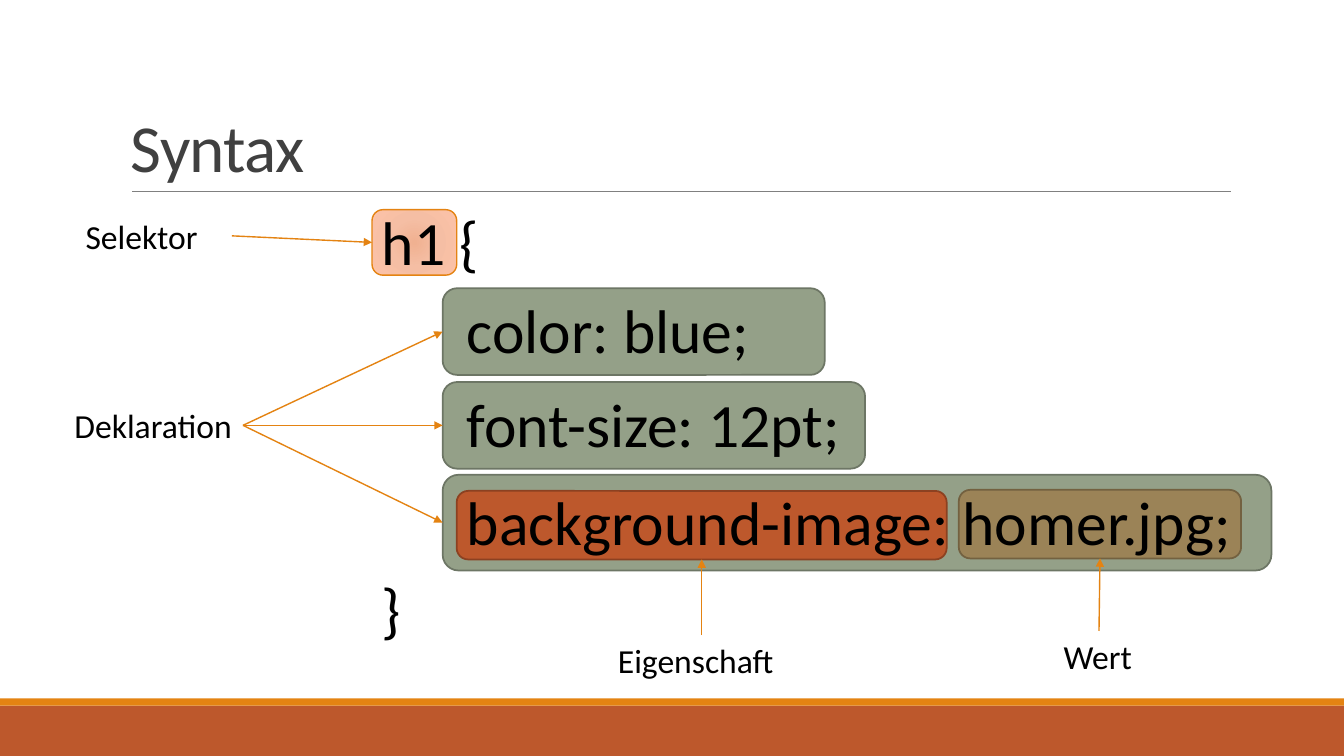
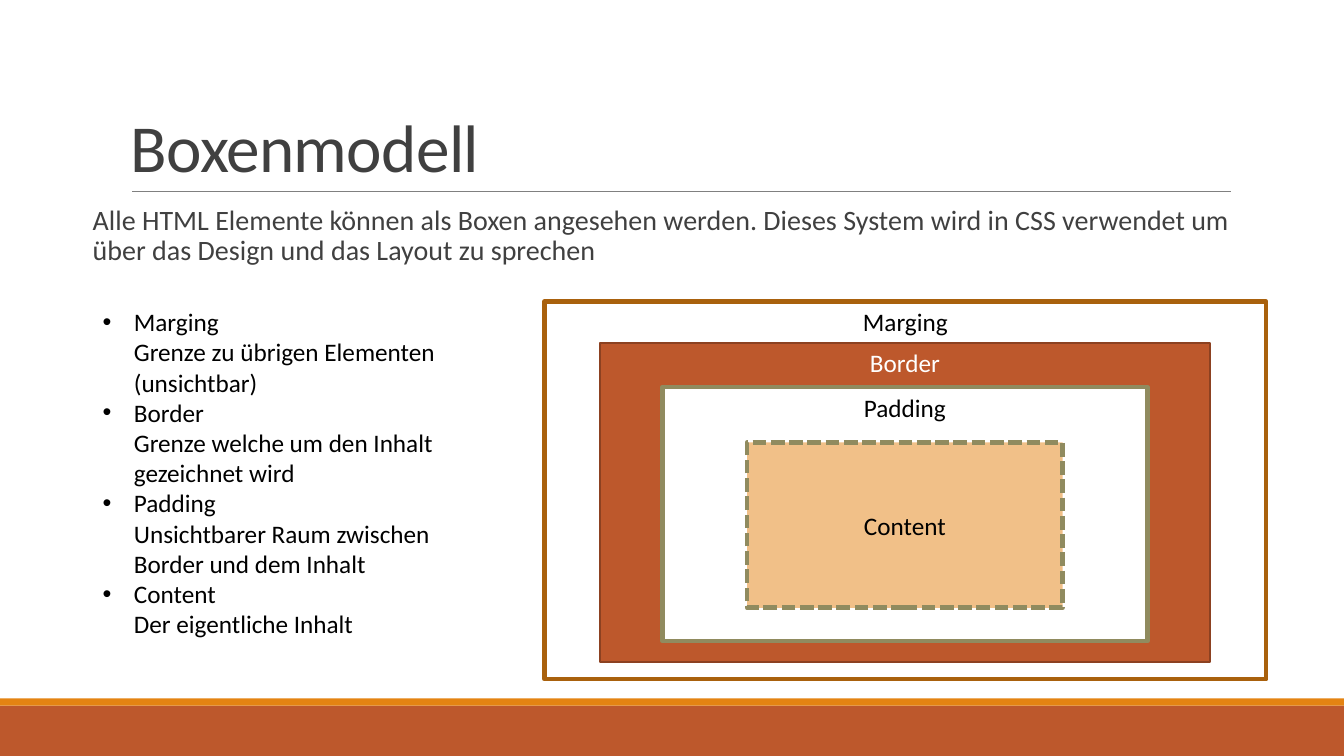
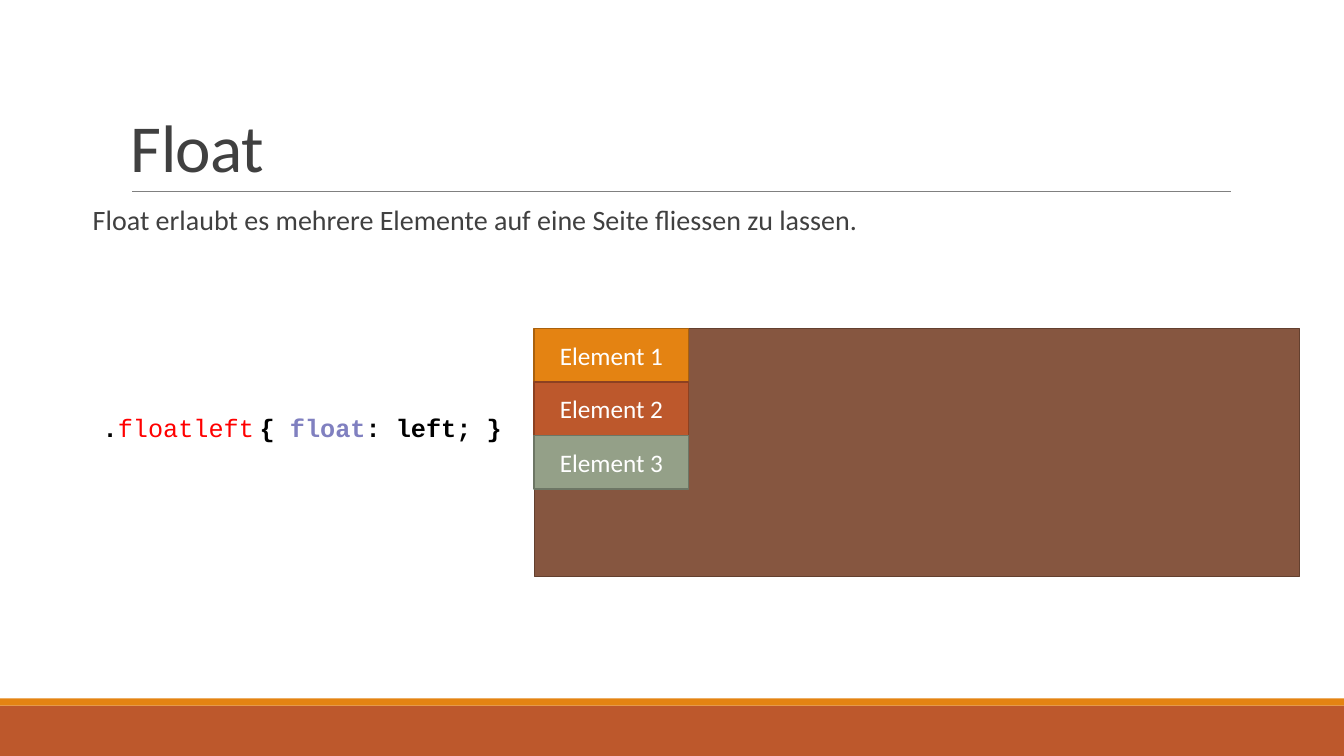
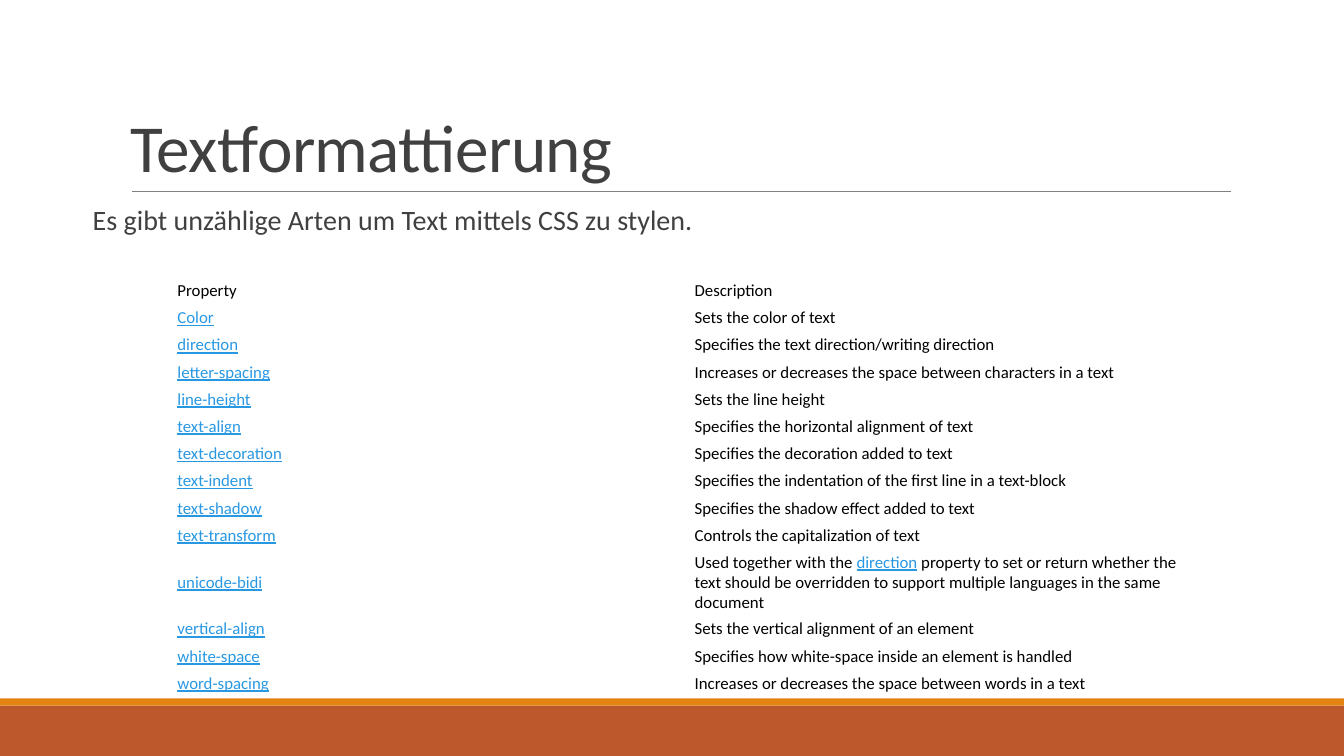
"""Build four slides on CSS: syntax, box model, float and text formatting."""
from pptx import Presentation
from pptx.dml.color import RGBColor
from pptx.enum.dml import MSO_LINE
from pptx.enum.shapes import MSO_CONNECTOR, MSO_SHAPE
from pptx.enum.text import MSO_ANCHOR, PP_ALIGN
from pptx.oxml import parse_xml
from pptx.oxml.ns import nsdecls, qn
from pptx.util import Inches, Pt
from lxml import etree

RECT, ROUND = MSO_SHAPE.RECTANGLE, MSO_SHAPE.ROUNDED_RECTANGLE
STRAIGHT, DASH = MSO_CONNECTOR.STRAIGHT, MSO_LINE.SQUARE_DOT
LEFT, CENTER = PP_ALIGN.LEFT, PP_ALIGN.CENTER
TOP, MIDDLE, BOTTOM = MSO_ANCHOR.TOP, MSO_ANCHOR.MIDDLE, MSO_ANCHOR.BOTTOM
SIDE = {"top": 0, "left": 1, "bottom": 2, "right": 3}

W, H = 13.33, 7.5
FONT, CODE_FONT = "Calibri", "Courier New"
COLORS = {
    "black": "000000", "white": "FFFFFF", "text": "404040", "rule": "808080",
    "orange": "E48312", "orange_dark": "A9610D",
    "rust": "BD582C", "rust_dark": "8C4121",
    "sage": "94A088", "sage_dark": "6D7665",
    "sand": "9B8357", "sand_dark": "736140",
    "brown": "865640", "brown_dark": "63402F",
    "olive": "908B5F", "link": "2998E3", "red": "FF0000", "violet": "8080C0",
}
PEACH = [(0, "F0B191"), (45, "F5BEA4"), (100, "FDC3A8")]

CHIPS = {
    "image": ((4.39, 4.71, 8.22, 0.95), "sage"),
    "color": ((4.39, 2.86, 3.79, 0.86), "sage"),
    "size": ((4.39, 3.79, 4.19, 0.86), "sage"),
    "property": ((4.53, 4.87, 4.86, 0.68), "rust"),
    "value": ((9.51, 4.86, 2.8, 0.68), "sand"),
}
SELECTOR = (3.69, 2.08, 0.84, 0.65)
BRACES = (3.69, 1.97, 1.32, 4.54)
BRACE_GAP = 210
CODE_LINES = [
    ("color: blue;", (4.53, 2.85, 3.5, 0.84)),
    ("font-size: 12pt;", (4.53, 3.78, 3.95, 0.84)),
    ("background-image: homer.jpg;", (4.53, 4.75, 7.89, 0.84)),
]
LABELS = [
    ("Selektor", (0.75, 2.09, 1.55, 0.5), "right", ["selector"], "left"),
    ("Deklaration", (0.64, 3.97, 1.77, 0.5), "right", ["color", "size", "image"], "left"),
    ("Eigenschaft", (6.03, 6.3, 1.86, 0.5), "top", ["property"], "bottom"),
    ("Wert", (10.45, 6.26, 0.9, 0.5), "top", ["value"], "bottom"),
]

BOX_INTRO = ("Alle HTML Elemente können als Boxen angesehen werden. Dieses System wird "
             "in CSS verwendet um über das Design und das Layout zu sprechen")
BOX_TERMS = [
    "Marging\nGrenze zu übrigen Elementen (unsichtbar)",
    "Border\nGrenze welche um den Inhalt gezeichnet wird",
    "Padding\nUnsichtbarer Raum zwischen Border und dem Inhalt",
    "Content\nDer eigentliche Inhalt",
]
BOXES = [
    ("Marging", (5.4, 2.99, 7.16, 3.75), "white", "orange_dark", 3, 43, "black", TOP),
    ("Border", (5.95, 3.4, 6.05, 3.17), "rust", "rust_dark", 1.25, 100, "white", TOP),
    ("Padding", (6.57, 3.84, 4.81, 2.52), "white", "olive", 3.25, 100, "black", TOP),
    ("Content", (7.41, 4.39, 3.13, 1.64), "orange", "olive", 3.25, 50, "black", MIDDLE),
]

FLOAT_INTRO = "Float erlaubt es mehrere Elemente auf eine Seite fliessen zu lassen."
FLOAT_AREA = (5.3, 3.26, 7.59, 2.46)
FLOAT_CELL = (1.53, 0.53)
FLOAT_ITEMS = [("Element 1", "orange"), ("Element 2", "rust"), ("Element 3", "sage")]
CODE_BOLD = {"font": CODE_FONT, "bold": True}
FLOAT_CODE = [
    (".", CODE_BOLD),
    ("floatleft", {"font": CODE_FONT, "color": "red"}),
    (" ", {}),
    ("{ ", CODE_BOLD),
    ("float", {**CODE_BOLD, "color": "violet"}),
    (": left; }", CODE_BOLD),
]

FORMAT_INTRO = "Es gibt unzählige Arten um Text mittels CSS zu stylen."
LINK = {"color": "link", "underline": True}
HEADINGS = ("Property", "Description")
PROPERTIES = [
    ("Color", "Sets the color of text"),
    ("direction", "Specifies the text direction/writing direction"),
    ("letter-spacing", "Increases or decreases the space between characters in a text"),
    ("line-height", "Sets the line height"),
    ("text-align", "Specifies the horizontal alignment of text"),
    ("text-decoration", "Specifies the decoration added to text"),
    ("text-indent", "Specifies the indentation of the first line in a text-block"),
    ("text-shadow", "Specifies the shadow effect added to text"),
    ("text-transform", "Controls the capitalization of text"),
    ("unicode-bidi", [
        ("Used together with the ", {}), ("direction", LINK),
        (" property to set or return whether the text should be overridden to support "
         "multiple languages in the same document", {})]),
    ("vertical-align", "Sets the vertical alignment of an element"),
    ("white-space", "Specifies how white-space inside an element is handled"),
    ("word-spacing", "Increases or decreases the space between words in a text"),
]
TABLE_AT, COLUMN, ROW, TALL_ROW = (1.7, 2.75), 5.13, 0.27, 0.66


def rgb(name):
    return RGBColor.from_string(COLORS[name])


def inches(box):
    return [Inches(v) for v in box]


def write(tf, paragraphs, size=18, color="black", align=LEFT):
    """Fill a frame; a paragraph is a string or a list of (text, style) runs."""
    for i, content in enumerate(paragraphs):
        p = tf.add_paragraph() if i else tf.paragraphs[0]
        p.alignment = align
        for text, style in [(content, {})] if isinstance(content, str) else content:
            for j, line in enumerate(text.split("\n")):
                if j:
                    p.add_line_break()
                r = p.add_run()
                r.text = line
                r.font.name = style.get("font", FONT)
                r.font.size = Pt(size)
                r.font.bold = style.get("bold", False)
                r.font.underline = style.get("underline", False)
                r.font.color.rgb = rgb(style.get("color", color))


def text_box(s, box, paragraphs, size=18, color="black", anchor=TOP):
    sp = s.shapes.add_textbox(*inches(box))
    tf = sp.text_frame
    tf.word_wrap = True
    tf.vertical_anchor = anchor
    write(tf, paragraphs, size, color)
    return sp


def add_box(s, box, fill, line=None, width=1.25, kind=RECT, alpha=100):
    sp = s.shapes.add_shape(kind, *inches(box))
    sp.shadow.inherit = False
    sp.fill.solid()
    sp.fill.fore_color.rgb = rgb(fill)
    if alpha < 100:
        clr = sp.element.spPr.find(qn("a:solidFill"))[0]
        etree.SubElement(clr, qn("a:alpha")).set("val", str(alpha * 1000))
    if line:
        sp.line.color.rgb = rgb(line)
        sp.line.width = Pt(width)
    else:
        sp.line.fill.background()
    return sp


def label_box(sp, text, color, anchor=MIDDLE):
    sp.text_frame.vertical_anchor = anchor
    write(sp.text_frame, [text], 18, color, CENTER)


def add_line(s, start, end, color, width):
    c = s.shapes.add_connector(STRAIGHT, *inches(start + end))
    c.line.color.rgb = rgb(color)
    c.line.width = Pt(width)
    etree.SubElement(c.element.spPr, qn("a:effectLst"))
    return c


def add_arrow(s, source, source_side, target, target_side):
    c = add_line(s, (0, 0), (1, 1), "orange", 1)
    c.begin_connect(source, SIDE[source_side])
    c.end_connect(target, SIDE[target_side])
    etree.SubElement(c.line._get_or_add_ln(), qn("a:tailEnd")).set("type", "triangle")


def radial_fill(sp, stops):
    gs = "".join(f'<a:gs pos="{pos * 1000}"><a:srgbClr val="{c}"/></a:gs>' for pos, c in stops)
    edges = " ".join(f'{side}="100000"' for side in "ltrb")
    grad = parse_xml(f'<a:gradFill {nsdecls("a")}><a:gsLst>{gs}</a:gsLst>'
                     f'<a:path path="circle"><a:fillToRect {edges}/></a:path></a:gradFill>')
    spPr = sp.element.spPr
    spPr.replace(spPr.find(qn("a:solidFill")), grad)


def new_slide(prs, title, intro=None):
    s = prs.slides.add_slide(prs.slide_layouts[6])
    add_box(s, (0, 7, W, 0.5), "rust")
    add_box(s, (0, 6.93, W, 0.07), "orange")
    add_line(s, (1.31, 1.9), (12.21, 1.9), "rule", 0.5)
    p = text_box(s, (1.2, 0.31, 11, 1.59), [title], 48, "text", BOTTOM).text_frame.paragraphs[0]
    p.line_spacing = 0.85
    p.runs[0].font._element.set("spc", "-50")
    if intro:
        tf = text_box(s, (0.92, 2, 11.5, 0.9), [intro], 20, "text").text_frame
        tf.margin_left = tf.margin_right = 0
        tf.paragraphs[0].line_spacing = 0.9
    return s


def syntax_slide(prs):
    s = new_slide(prs, "Syntax")
    chips = {name: add_box(s, box, color, color + "_dark", kind=ROUND)
             for name, (box, color) in CHIPS.items()}
    chips["selector"] = add_box(s, SELECTOR, "white", "orange", 1, ROUND)
    radial_fill(chips["selector"], PEACH)
    braces = text_box(s, BRACES, ["h1 {", "}"], 44)
    braces.text_frame.paragraphs[1].space_before = Pt(BRACE_GAP)
    for code, box in CODE_LINES:
        text_box(s, box, [code], 44)
    for text, box, side, targets, target_side in LABELS:
        label = text_box(s, box, [text], 24)
        for target in targets:
            add_arrow(s, label, side, chips[target], target_side)


def box_model_slide(prs):
    s = new_slide(prs, "Boxenmodell", BOX_INTRO)
    for text, box, fill, line, width, alpha, color, anchor in BOXES:
        sp = add_box(s, box, fill, line, width, alpha=alpha)
        label_box(sp, text, color, anchor)
    sp.line.dash_style = DASH
    terms = text_box(s, (0.92, 2.99, 3.83, 3.43), BOX_TERMS)
    indent = Inches(0.31)
    for p in terms.text_frame.paragraphs:
        pPr = p._p.get_or_add_pPr()
        pPr.set("marL", str(indent))
        pPr.set("indent", str(-indent))
        etree.SubElement(pPr, qn("a:buFont")).set("typeface", "Arial")
        etree.SubElement(pPr, qn("a:buChar")).set("char", "•")


def float_slide(prs):
    s = new_slide(prs, "Float", FLOAT_INTRO)
    add_box(s, FLOAT_AREA, "brown", "brown_dark")
    left, top = FLOAT_AREA[:2]
    width, height = FLOAT_CELL
    for i, (text, color) in enumerate(FLOAT_ITEMS):
        sp = add_box(s, (left, top + i * height, width, height), color, color + "_dark")
        label_box(sp, text, "white")
    text_box(s, (0.92, 4.04, 4.21, 0.4), [FLOAT_CODE])


def formatting_slide(prs):
    s = new_slide(prs, "Textformattierung", FORMAT_INTRO)
    rows = [HEADINGS] + [([(name, LINK)], text) for name, text in PROPERTIES]
    box = (*TABLE_AT, 2 * COLUMN, ROW * len(rows))
    table = s.shapes.add_table(len(rows), 2, *inches(box)).table
    table.first_row = table.horz_banding = False
    for column in table.columns:
        column.width = Inches(COLUMN)
    for i, row in enumerate(rows):
        table.rows[i].height = Inches(ROW if isinstance(row[1], str) else TALL_ROW)
        for j, content in enumerate(row):
            cell = table.cell(i, j)
            cell.fill.background()
            cell.vertical_anchor = MIDDLE
            cell.margin_left = cell.margin_right = Inches(0.06)
            cell.margin_top = cell.margin_bottom = Inches(0.03)
            write(cell.text_frame, [content], 12)


def main():
    prs = Presentation()
    prs.slide_width, prs.slide_height = Inches(W), Inches(H)
    for build in (syntax_slide, box_model_slide, float_slide, formatting_slide):
        build(prs)
    prs.save("out.pptx")


if __name__ == "__main__":
    main()
